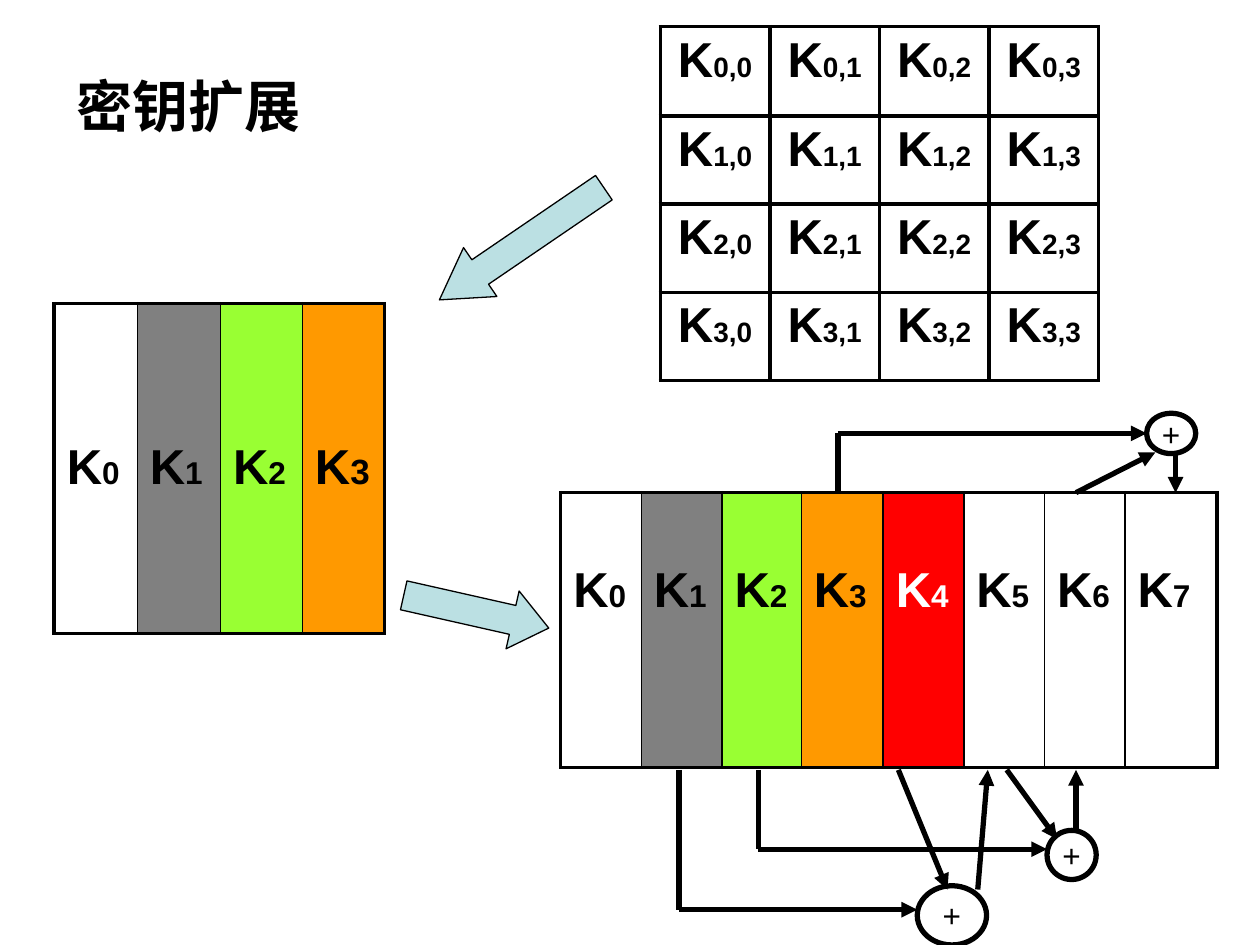
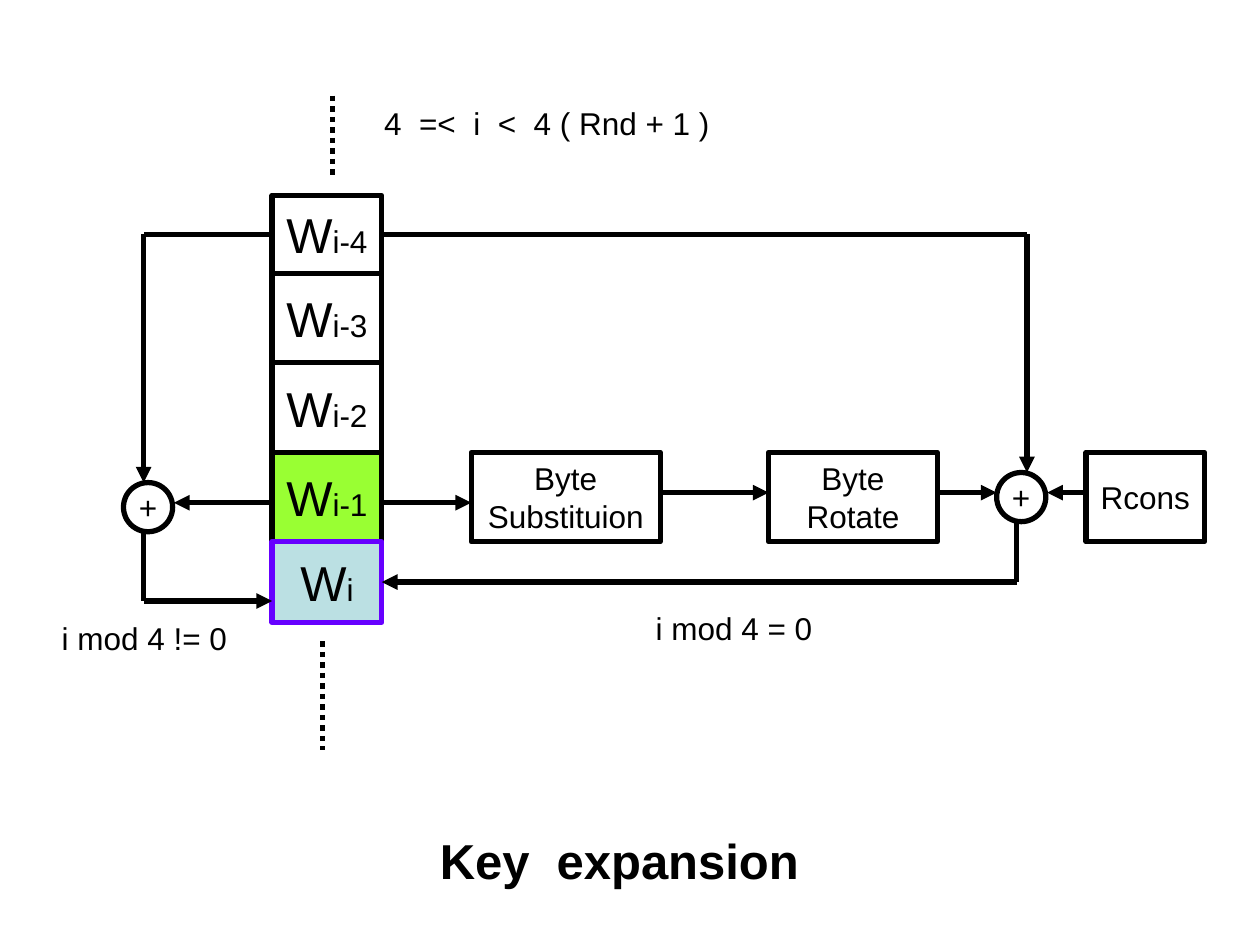
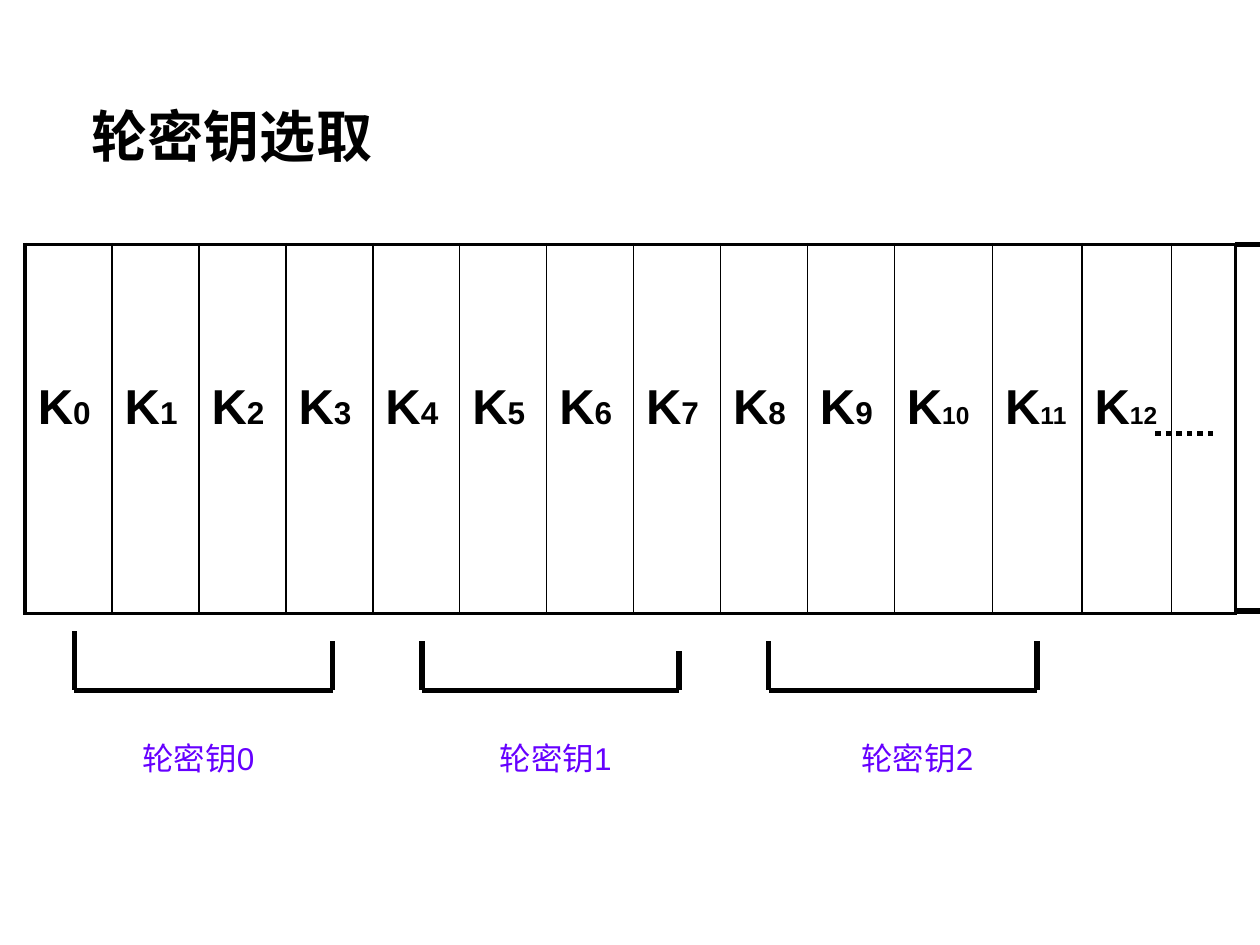
from lxml.etree import SubElement
from pptx import Presentation
from pptx.dml.color import RGBColor
from pptx.enum.dml import MSO_LINE
from pptx.enum.shapes import MSO_CONNECTOR, MSO_SHAPE
from pptx.enum.text import MSO_ANCHOR, MSO_AUTO_SIZE, PP_ALIGN
from pptx.oxml.ns import qn
from pptx.util import Emu, Pt

EMU_PER_PX = 9144
FONT = "Arial"

BLACK = RGBColor(0x00, 0x00, 0x00)
WHITE = RGBColor(0xFF, 0xFF, 0xFF)
GRAY = RGBColor(0x80, 0x80, 0x80)
GREEN = RGBColor(0x99, 0xFF, 0x33)
ORANGE = RGBColor(0xFF, 0x99, 0x00)
RED = RGBColor(0xFF, 0x00, 0x00)
PALE_BLUE = RGBColor(0xBB, 0xE0, 0xE3)
VIOLET = RGBColor(0x66, 0x00, 0xFF)

RECT, OVAL = MSO_SHAPE.RECTANGLE, MSO_SHAPE.OVAL
LEFT_ARROW, RIGHT_ARROW = MSO_SHAPE.LEFT_ARROW, MSO_SHAPE.RIGHT_ARROW
STRAIGHT = MSO_CONNECTOR.STRAIGHT
DOTTED = MSO_LINE.ROUND_DOT
TOP, MIDDLE = MSO_ANCHOR.TOP, MSO_ANCHOR.MIDDLE
LEFT, CENTER = PP_ALIGN.LEFT, PP_ALIGN.CENTER
NO_AUTOFIT = MSO_AUTO_SIZE.NONE
LEFT_SIDE, RIGHT_SIDE = 1, 3
TITLE_ONLY = 5


def px(length):
    return Emu(length * EMU_PER_PX)


def symbol(letter, index, index_size=18):
    return [(letter, 28), (index, index_size)]


class Deck:
    def __init__(self):
        self.prs = Presentation()
        self.prs.slide_width, self.prs.slide_height = px(1000), px(750)
        self.slide = None

    def new_slide(self):
        self.slide = self.prs.slides.add_slide(self.prs.slide_layouts[TITLE_ONLY])

    def put_text(self, frame, lines, align=LEFT, color=BLACK, bold=False):
        for number, runs in enumerate(lines):
            paragraph = frame.add_paragraph() if number else frame.paragraphs[0]
            paragraph.alignment = align
            for text, size in runs:
                run = paragraph.add_run()
                run.text = text
                run.font.name = FONT
                run.font.size = Pt(size)
                run.font.bold = bold
                run.font.color.rgb = color

    def title(self, text, left, top, width, height, size=32, align=LEFT):
        heading = self.slide.shapes.title
        heading.left, heading.top = px(left), px(top)
        heading.width, heading.height = px(width), px(height)
        frame = heading.text_frame
        frame.auto_size = NO_AUTOFIT
        frame.vertical_anchor = MIDDLE
        self.put_text(frame, [[(text, size)]], align, bold=True)

    def label(self, text, left, top, width, align=CENTER, color=BLACK):
        box = self.slide.shapes.add_textbox(px(left), px(top), px(width), px(43))
        frame = box.text_frame
        frame.word_wrap = True
        frame.vertical_anchor = MIDDLE
        self.put_text(frame, [[(text, 18)]], align, color)

    def shape(self, kind, left, top, width, height, lines=(), fill=WHITE,
              outline=BLACK, weight=3):
        item = self.slide.shapes.add_shape(kind, px(left), px(top), px(width), px(height))
        item.shadow.inherit = False
        item.fill.solid()
        item.fill.fore_color.rgb = fill
        item.line.color.rgb = outline
        item.line.width = Pt(weight)
        if lines:
            item.text_frame.word_wrap = False
            item.text_frame.vertical_anchor = MIDDLE
            self.put_text(item.text_frame, lines, CENTER)
        return item

    def plus(self, left, top, width=39, height=39):
        return self.shape(OVAL, left, top, width, height, [[("+", 18)]])

    def block_arrow(self, kind, left, top, width, angle, head):
        arrow = self.shape(kind, left, top, width, 47, fill=PALE_BLUE, weight=0.75)
        arrow.adjustments[0], arrow.adjustments[1] = 0.5, head
        arrow.rotation = angle

    def line(self, start, end, arrow=False, dash=None):
        link = self.slide.shapes.add_connector(STRAIGHT, *map(px, start + end))
        link.line.color.rgb = BLACK
        link.line.width = Pt(3)
        if dash is not None:
            link.line.dash_style = dash
        properties = link.element.spPr
        if arrow:
            SubElement(properties.find(qn("a:ln")), qn("a:tailEnd"), type="triangle")
        SubElement(properties, qn("a:effectLst"))
        return link

    def route(self, *points, arrow=True):
        last = len(points) - 2
        return [self.line(start, end, arrow and number == last)
                for number, (start, end) in enumerate(zip(points, points[1:]))]

    def border(self, cell, widths):
        properties = cell._tc.get_or_add_tcPr()
        for place, (side, width) in enumerate(zip("LRTB", widths)):
            edge = SubElement(properties, qn("a:ln" + side), w=str(Pt(width)))
            fill = SubElement(edge, qn("a:solidFill"))
            SubElement(fill, qn("a:srgbClr"), val=str(BLACK))
            properties.insert(place, edge)

    def table(self, left, top, columns, rows, cells, inner=1, padding=5,
              align=LEFT, fills=None, inks=None):
        outer = 2.25
        grid = self.slide.shapes.add_table(
            len(rows), len(columns), px(left), px(top),
            px(sum(columns)), px(sum(rows))).table
        grid.first_row = grid.horz_banding = False
        for column, width in zip(grid.columns, columns):
            column.width = px(width)
        for r, height in enumerate(rows):
            grid.rows[r].height = px(height)
            for c, runs in enumerate(cells[r]):
                cell = grid.cell(r, c)
                cell.margin_top = px(padding)
                cell.vertical_anchor = TOP
                fill = (fills or {}).get(c)
                if fill is None:
                    cell.fill.background()
                else:
                    cell.fill.solid()
                    cell.fill.fore_color.rgb = fill
                self.border(cell, (
                    inner if c else outer,
                    inner if c < len(columns) - 1 else outer,
                    outer, outer))
                if runs:
                    self.put_text(cell.text_frame, [runs], align,
                                  (inks or {}).get(c, BLACK), True)


def key_schedule(deck):
    deck.new_slide()
    deck.title("密钥扩展", 51, 21, 362, 125)
    key_bytes = [[symbol("K", f"{r},{c}", 16) for c in range(4)] for r in range(4)]
    deck.table(524, 21, [87] * 4, [71, 70, 70, 70], key_bytes, inner=2.25, align=CENTER)

    key_colors = {1: GRAY, 2: GREEN, 3: ORANGE}
    key_words = [symbol("K", str(i), 20 if i == 3 else 18) for i in range(4)]
    deck.table(43, 241, [66, 66, 65, 65], [262], [key_words], padding=108,
               fills={0: WHITE, **key_colors})
    expanded_words = [symbol("K", str(i)) for i in range(8)]
    deck.table(445, 391, [64, 64, 63, 65, 64, 64, 64, 73], [218], [expanded_words],
               padding=56, fills={**key_colors, 4: RED}, inks={4: WHITE})

    deck.block_arrow(LEFT_ARROW, 335, 170, 158, 325.7, 0.835)
    deck.block_arrow(RIGHT_ARROW, 319, 462, 118, 12.7, 0.625)

    deck.plus(728, 703, 55, 47)
    deck.plus(831, 659)
    deck.plus(910, 328, 39, 32)
    for points in (
        [(539, 611), (539, 722), (728, 722)],
        [(713, 611), (752, 706)],
        [(776, 706), (784, 611)],
        [(602, 611), (602, 674), (831, 674)],
        [(799, 611), (839, 666)],
        [(854, 659), (854, 611)],
        [(665, 391), (665, 344), (910, 344)],
        [(854, 391), (917, 359)],
        [(933, 359), (933, 391)],
    ):
        deck.route(*points)


def key_expansion(deck):
    deck.new_slide()
    deck.title("Key  expansion", 161, 651, 661, 63, 28, CENTER)

    words = []
    top = 155
    for index, height, fill, outline in (
        ("i-4", 62, WHITE, BLACK),
        ("i-3", 71, WHITE, BLACK),
        ("i-2", 71, WHITE, BLACK),
        ("i-1", 71, GREEN, BLACK),
        ("i", 64, PALE_BLUE, VIOLET),
    ):
        words.append(deck.shape(RECT, 216, top, 87, height, [symbol("W", index)],
                                fill, outline))
        top += height
    oldest, newest = words[0], words[-1]

    for left, width, lines in (
        (374, 150, ["Byte", "Substituion"]),
        (610, 134, ["Byte", "Rotate"]),
        (862, 94, ["Rcons"]),
    ):
        deck.shape(RECT, left, 359, width, 71, [[(line, 18)] for line in lines])
    deck.plus(791, 375)
    deck.plus(98, 383)

    for start, end in (
        ((303, 399), (374, 399)),
        ((524, 391), (610, 391)),
        ((744, 391), (791, 391)),
        ((862, 391), (831, 391)),
        ((216, 399), (138, 399)),
    ):
        deck.line(start, end, arrow=True)

    to_right_sum = deck.route((303, 186), (815, 186), (815, 375))
    to_right_sum[0].begin_connect(oldest, RIGHT_SIDE)
    to_left_sum = deck.route((216, 186), (114, 186), (114, 383))
    to_left_sum[0].begin_connect(oldest, LEFT_SIDE)
    from_right_sum = deck.route((807, 414), (807, 462), (303, 462))
    from_right_sum[-1].end_connect(newest, RIGHT_SIDE)
    deck.route((114, 422), (114, 477), (216, 477))

    deck.line((264, 76), (264, 139), dash=DOTTED)
    deck.line((256, 509), (256, 595), dash=DOTTED)
    deck.label("4  =<  i  <  4 ( Rnd + 1 )", 295, 76, 339, LEFT)
    deck.label("i mod 4 = 0", 421, 477, 323)
    deck.label("i mod 4 != 0", 20, 485, 189)


def round_keys(deck):
    deck.new_slide()
    deck.title("轮密钥选取", 63, 68, 888, 79)
    words = [symbol("K", str(i), 18 if i < 10 else 14) for i in range(13)]
    deck.table(20, 194, [69] * 10 + [78, 71, 71, 51], [293], [words + [None]], padding=108)
    deck.line((917, 344), (965, 344), dash=DOTTED)
    for y in (194, 485):
        deck.line((980, y), (1000, y))

    for number, (left, left_top, right, right_top, label_left, label_width) in enumerate((
        (59, 501, 264, 509, 67, 181),
        (335, 509, 539, 517, 366, 150),
        (610, 509, 823, 509, 657, 142),
    )):
        deck.route((left, left_top), (left, 548), (right, 548), (right, right_top),
                   arrow=False)
        deck.label(f"轮密钥{number}", label_left, 580, label_width, color=VIOLET)


def main():
    deck = Deck()
    key_schedule(deck)
    key_expansion(deck)
    round_keys(deck)
    deck.prs.save("out.pptx")


if __name__ == "__main__":
    main()
